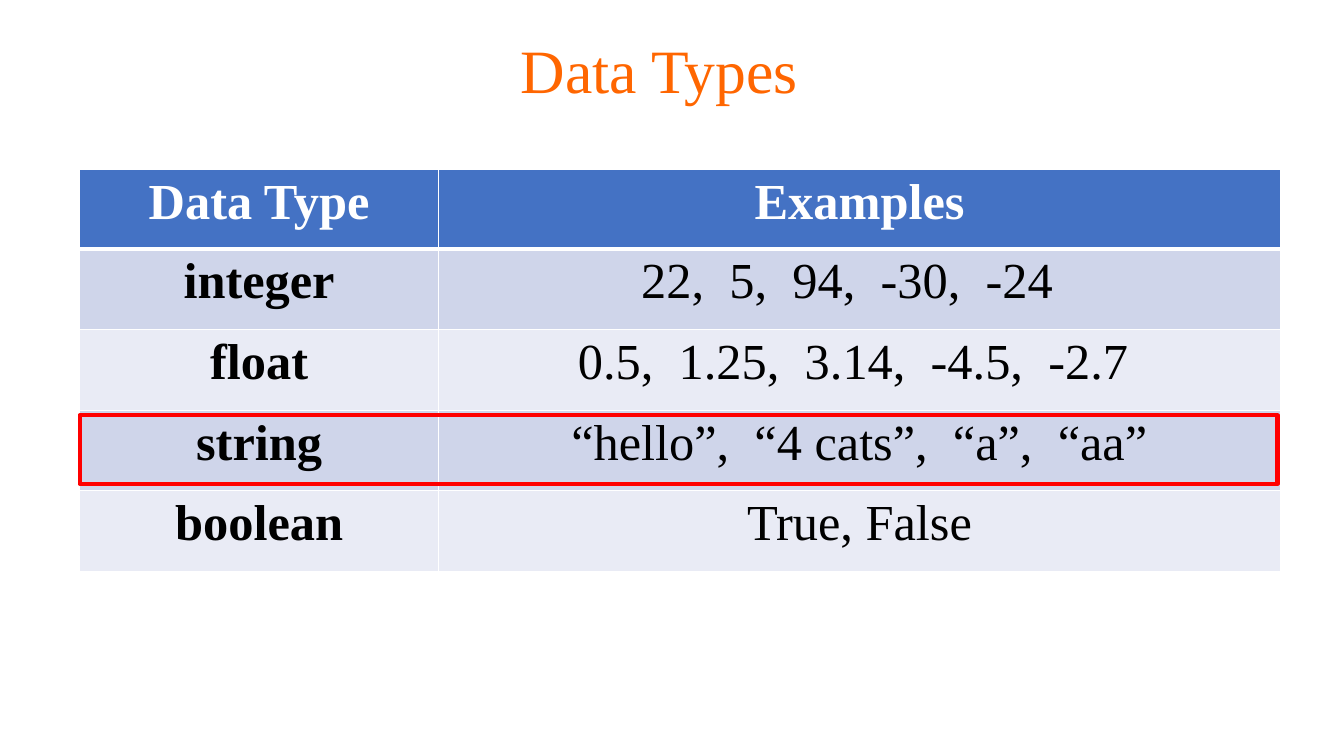
from dataclasses import dataclass

from lxml import etree
from pptx import Presentation
from pptx import util as u
from pptx.dml import color
from pptx.enum import shapes, text
from pptx.oxml import ns

FONT = "Times New Roman"
WHITE, BLACK, ORANGE, RED = "FFFFFF", "000000", "FF6600", "FF0000"
HEADER_BLUE, BAND_DARK, BAND_LIGHT = "4472C4", "CFD5EA", "E9EBF5"
LEFT = 0.79
COLUMN_WIDTHS = (3.56, 8.35)
HEADER_HEIGHT, ROW_HEIGHT = 0.79, 0.8


@dataclass
class DataType:
    name: str
    examples: str
    right_margin: float = 0.1


DATA_TYPES = [
    DataType("Data Type", "Examples"),
    DataType("integer", "22,  5,  94,  -30,  -24", 0.35),
    DataType("float", "0.5,  1.25,  3.14,  -4.5,  -2.7", 0.23),
    DataType("string", "“hello”,  “4 cats”,  “a”,  “aa”"),
    DataType("boolean", "True, False"),
]


def rgb(value: str) -> color.RGBColor:
    return color.RGBColor.from_string(value)


def write(frame, words: str, *, size: float, ink: str, bold: bool = False,
          spacing: float = 1.0) -> None:
    frame.word_wrap = True
    paragraph = frame.paragraphs[0]
    paragraph.alignment = text.PP_ALIGN.CENTER
    paragraph.line_spacing = spacing
    run = paragraph.add_run()
    run.text = words
    run.font.name = FONT
    run.font.size = u.Pt(size)
    run.font.bold = bold
    run.font.color.rgb = rgb(ink)


def add_borders(cell, top: float, bottom: float) -> None:
    properties = cell._tc.get_or_add_tcPr()
    widths = {"a:lnL": 1, "a:lnR": 1, "a:lnT": top, "a:lnB": bottom}
    for position, (side, width) in enumerate(widths.items()):
        line = etree.Element(ns.qn(side), w=str(u.Pt(width)))
        fill = etree.SubElement(line, ns.qn("a:solidFill"))
        etree.SubElement(fill, ns.qn("a:srgbClr"), val=WHITE)
        properties.insert(position, line)


def add_title(slide) -> None:
    title = slide.shapes.add_textbox(
        u.Inches(LEFT), u.Inches(0), u.Inches(11.5), u.Inches(1.45))
    title.text_frame.vertical_anchor = text.MSO_ANCHOR.MIDDLE
    write(title.text_frame, "Data Types", size=44, ink=ORANGE, spacing=0.9)


def add_type_table(slide) -> None:
    height = HEADER_HEIGHT + ROW_HEIGHT * (len(DATA_TYPES) - 1)
    table = slide.shapes.add_table(
        len(DATA_TYPES), len(COLUMN_WIDTHS), u.Inches(LEFT), u.Inches(1.68),
        u.Inches(sum(COLUMN_WIDTHS)), u.Inches(height)).table
    for column, width in zip(table.columns, COLUMN_WIDTHS):
        column.width = u.Inches(width)
    for index, data_type in enumerate(DATA_TYPES):
        header = index == 0
        table.rows[index].height = u.Inches(HEADER_HEIGHT if header else ROW_HEIGHT)
        band = HEADER_BLUE if header else BAND_DARK if index % 2 else BAND_LIGHT
        for column, words in enumerate((data_type.name, data_type.examples)):
            cell = table.cell(index, column)
            cell.fill.solid()
            cell.fill.fore_color.rgb = rgb(band)
            add_borders(cell, 3 if index == 1 else 1, 3 if header else 1)
            write(cell.text_frame, words, size=36, ink=WHITE if header else BLACK,
                  bold=header or column == 0)
        table.cell(index, 1).margin_right = u.Inches(data_type.right_margin)


def add_string_highlight(slide) -> None:
    highlight = slide.shapes.add_shape(
        shapes.MSO_SHAPE.RECTANGLE, u.Inches(LEFT), u.Inches(4.12),
        u.Inches(11.88), u.Inches(0.68))
    highlight.shadow.inherit = False
    highlight.fill.background()
    highlight.line.color.rgb = rgb(RED)
    highlight.line.width = u.Pt(3)


def main() -> None:
    presentation = Presentation()
    presentation.slide_width = u.Inches(13.33)
    presentation.slide_height = u.Inches(7.5)
    slide = presentation.slides.add_slide(presentation.slide_layouts[6])
    add_title(slide)
    add_type_table(slide)
    add_string_highlight(slide)
    presentation.save("out.pptx")


if __name__ == "__main__":
    main()
